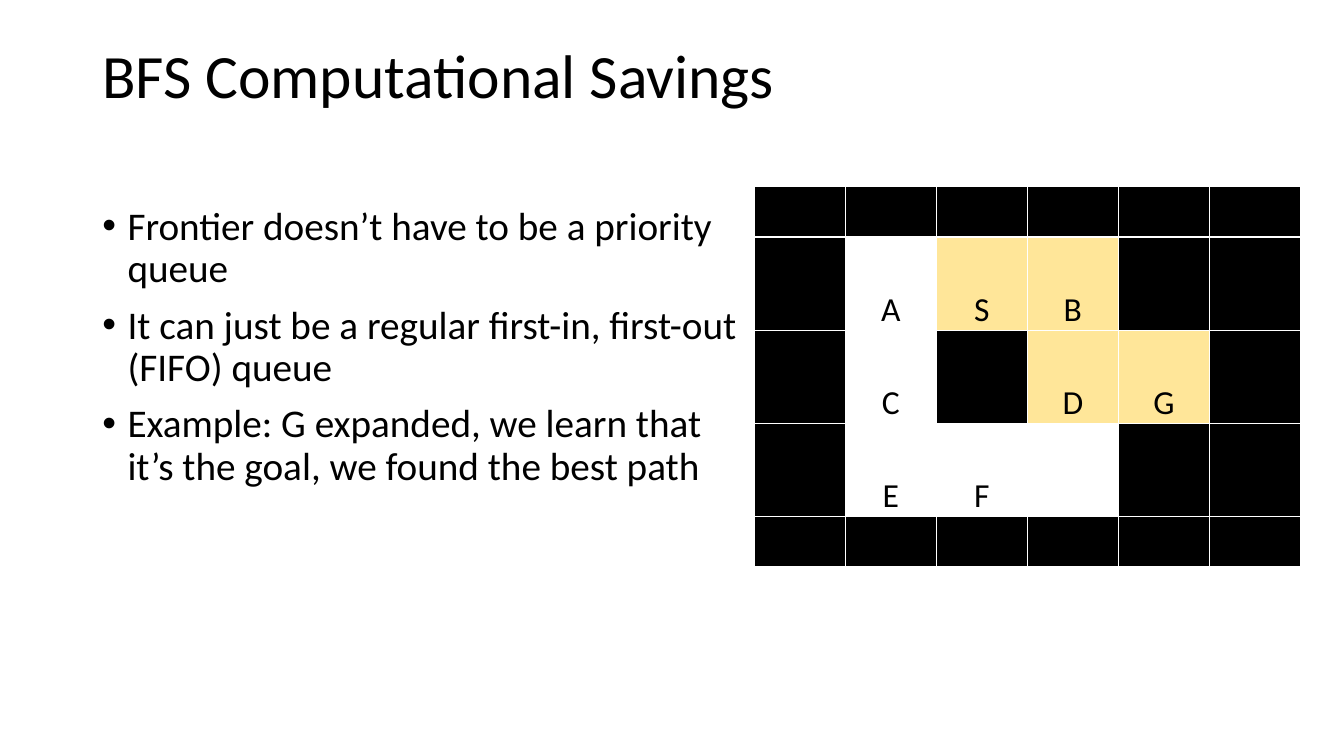
"""Build a slide on the computational savings of breadth-first search."""
from lxml import etree
from pptx import Presentation
from pptx.dml.color import RGBColor
from pptx.enum.text import MSO_ANCHOR as ANCHOR, PP_ALIGN as ALIGN
from pptx.oxml import parse_xml
from pptx.oxml.ns import nsdecls, qn
from pptx.util import Pt

TITLE = "BFS Computational Savings"
BULLETS = [
    "Frontier doesn’t have to be a priority queue",
    "It can just be a regular first-in, first-out (FIFO) queue",
    "Example: G expanded, we learn that it’s the goal, we found the best path",
]
MAZE = [
    "######",
    "#ASB##",
    "#C#DG#",
    "#EF.##",
    "######",
]
PATH = "SBDG"
WALL, OPEN = "#", "."

BLACK = RGBColor(0x00, 0x00, 0x00)
WHITE = RGBColor(0xFF, 0xFF, 0xFF)
YELLOW = RGBColor(0xFF, 0xE6, 0x99)
FONT = "Calibri"
COL_WIDTH = 65.05
ROW_HEIGHTS = [36, 66.5, 66.5, 66.5, 36]


def style(p, size):
    p.font.name = FONT
    p.font.size = Pt(size)
    p.font.color.rgb = BLACK


def add_text(slide, box, lines, size):
    tf = slide.shapes.add_textbox(*map(Pt, box)).text_frame
    tf.word_wrap = True
    for i, line in enumerate(lines):
        p = tf.paragraphs[0] if i == 0 else tf.add_paragraph()
        p.text = line
        p.line_spacing = 0.9
        style(p, size)
    return tf


def add_bullets(tf):
    for p in tf.paragraphs:
        p.space_before = Pt(10)
        pPr = p._p.get_or_add_pPr()
        pPr.set("marL", str(Pt(18)))
        pPr.set("indent", str(Pt(-18)))
        bullet_font = parse_xml(f'<a:buFont {nsdecls("a")} typeface="Arial"/>')
        pPr.insert_element_before(bullet_font, "a:tabLst", "a:defRPr", "a:extLst")
        bullet = etree.Element(qn("a:buChar"), char="•")
        bullet_font.addnext(bullet)


def add_borders(cell):
    tcPr = cell._tc.get_or_add_tcPr()
    for i, side in enumerate(("lnL", "lnR", "lnT", "lnB")):
        tcPr.insert(i, parse_xml(
            f'<a:{side} {nsdecls("a")} w="{Pt(1)}"><a:solidFill>'
            f'<a:srgbClr val="{WHITE}"/></a:solidFill></a:{side}>'))


def fill_cell(cell, mark):
    cell.fill.solid()
    cell.fill.fore_color.rgb = (
        BLACK if mark == WALL else YELLOW if mark in PATH else WHITE)
    add_borders(cell)
    if mark not in (WALL, OPEN):
        cell.vertical_anchor = ANCHOR.BOTTOM
        cell.margin_left = cell.margin_right = cell.margin_top = Pt(0.75)
        cell.margin_bottom = 0
        p = cell.text_frame.paragraphs[0]
        p.text = mark
        p.alignment = ALIGN.CENTER
        style(p, 24)
        p.font.bold = False


def add_maze(slide):
    cols = len(MAZE[0])
    table = slide.shapes.add_table(
        len(MAZE), cols, Pt(538.75), Pt(133.3),
        Pt(COL_WIDTH * cols), Pt(sum(ROW_HEIGHTS))).table
    table.first_row = table.horz_banding = False
    for col in table.columns:
        col.width = Pt(COL_WIDTH)
    for r, marks in enumerate(MAZE):
        table.rows[r].height = Pt(ROW_HEIGHTS[r])
        for c, mark in enumerate(marks):
            fill_cell(table.cell(r, c), mark)


def main():
    prs = Presentation()
    prs.slide_width, prs.slide_height = Pt(960), Pt(540)
    slide = prs.slides.add_slide(prs.slide_layouts[6])
    add_text(slide, (66, 28.8, 828, 104.4), [TITLE], 44)
    add_bullets(add_text(slide, (66, 144, 480, 342.6), BULLETS, 28))
    add_maze(slide)
    prs.save("out.pptx")


if __name__ == "__main__":
    main()
